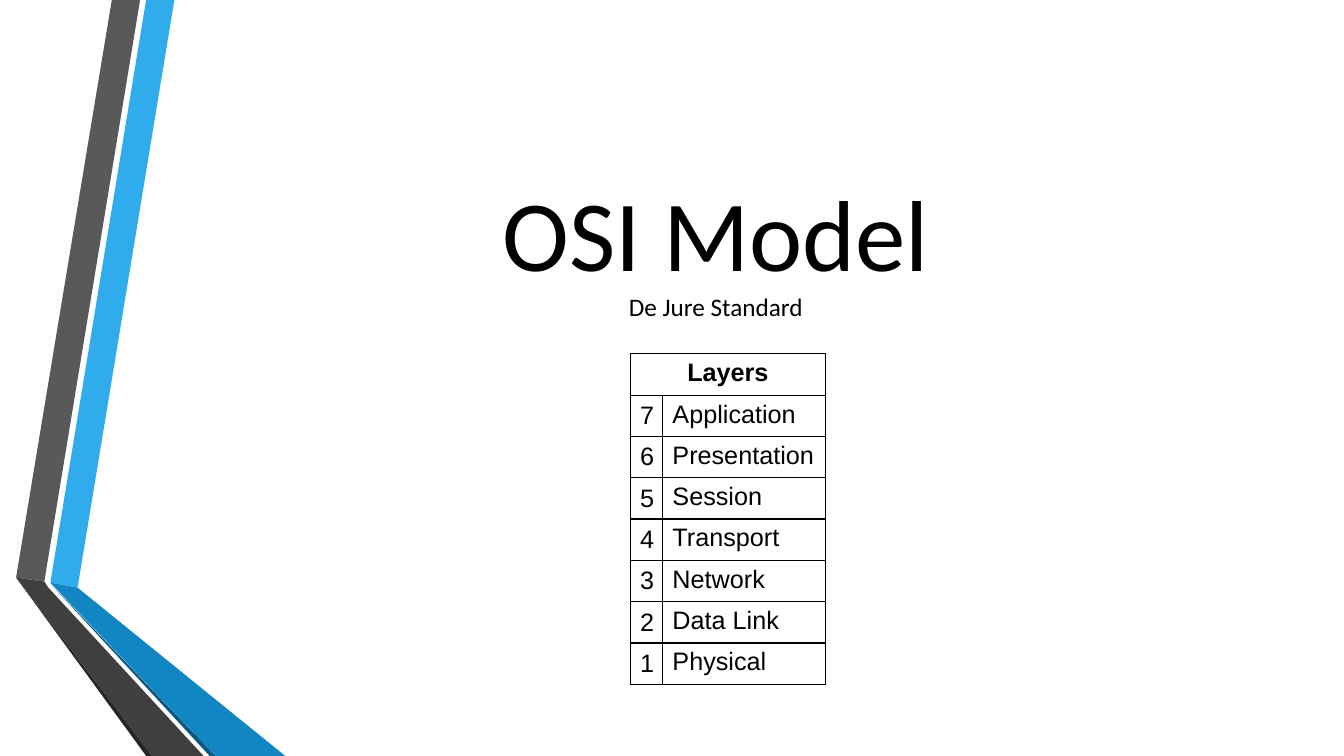
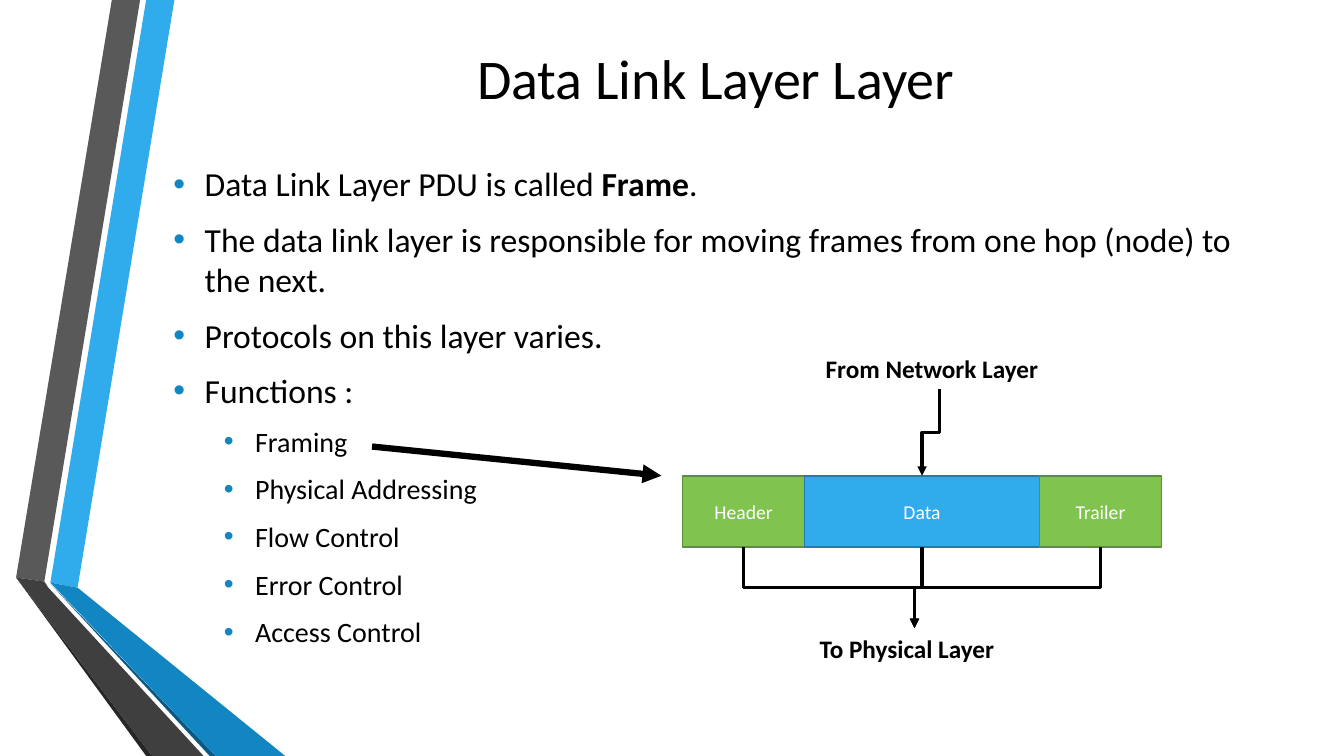
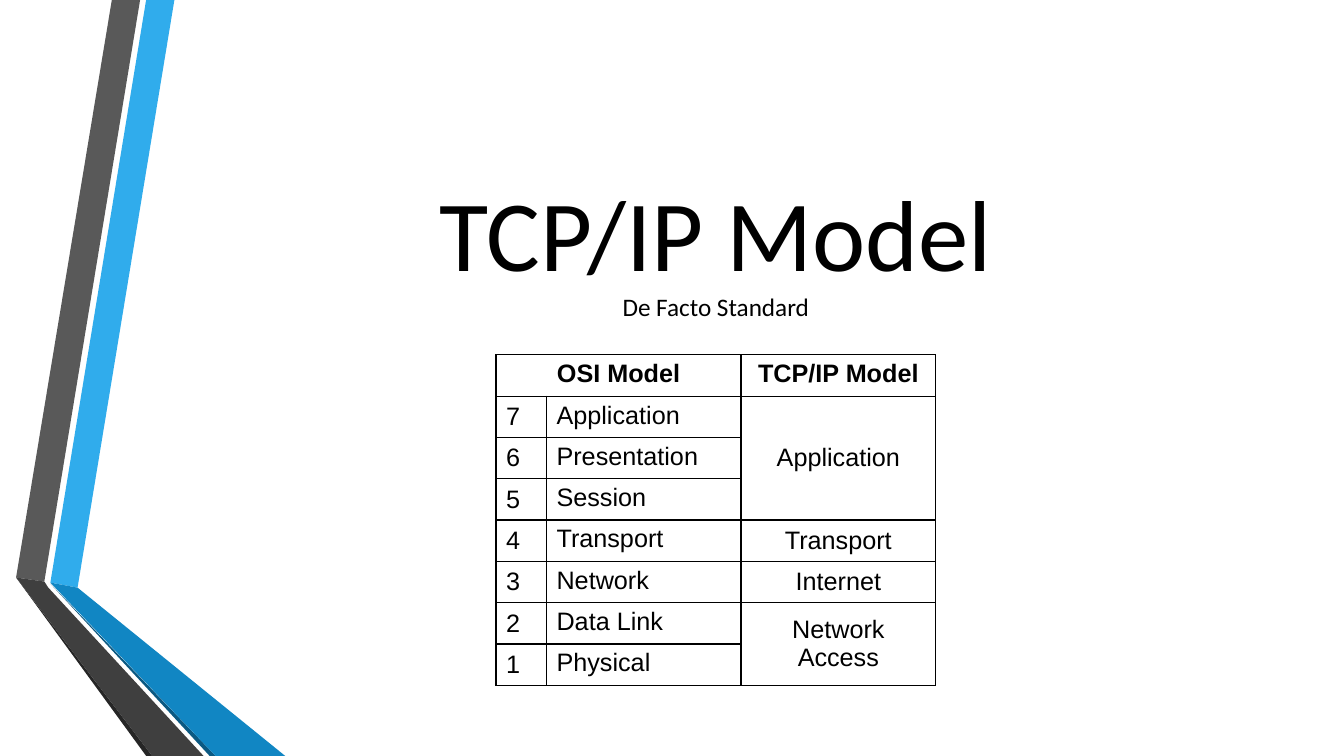
from dataclasses import dataclass
from itertools import product

from lxml import etree
from pptx import Presentation
from pptx.dml.color import RGBColor
from pptx.enum.shapes import MSO_CONNECTOR, MSO_SHAPE
from pptx.enum.text import MSO_ANCHOR, MSO_AUTO_SIZE, PP_ALIGN
from pptx.oxml.ns import qn
from pptx.util import Inches, Pt

ELBOW, STRAIGHT = MSO_CONNECTOR.ELBOW, MSO_CONNECTOR.STRAIGHT
RECTANGLE = MSO_SHAPE.RECTANGLE
TOP, MIDDLE = MSO_ANCHOR.TOP, MSO_ANCHOR.MIDDLE
LEFT, CENTER = PP_ALIGN.LEFT, PP_ALIGN.CENTER
NO_AUTOFIT = MSO_AUTO_SIZE.NONE

BLACK = RGBColor(0x00, 0x00, 0x00)
WHITE = RGBColor(0xFF, 0xFF, 0xFF)
SKY = RGBColor(0x30, 0xAC, 0xEC)
SKY_EDGE = RGBColor(0x23, 0x7D, 0xAC)
BLUE = RGBColor(0x11, 0x86, 0xC3)
NAVY = RGBColor(0x0B, 0x59, 0x82)
GREEN = RGBColor(0x80, 0xC3, 0x4F)
GREEN_EDGE = RGBColor(0x5D, 0x8E, 0x39)
GRAY = RGBColor(0x59, 0x59, 0x59)
DARK_GRAY = RGBColor(0x3F, 0x3F, 0x3F)
CHARCOAL = RGBColor(0x26, 0x26, 0x26)

BODY_FONT, TABLE_FONT = "Calibri", "Arial"
SLIDE_WIDTH, SLIDE_HEIGHT = 13.33, 7.5
CONTENT_LEFT, CONTENT_TOP, CONTENT_WIDTH = 1.62, 0.36, 10.96
TABLE_ROW = 0.41
TITLE_ONLY, TITLE_AND_BODY = 5, 1
QUARTER_TURN = 90 * 60000


@dataclass(frozen=True)
class Band:
    color: RGBColor
    points: tuple[tuple[float, float], ...]


@dataclass(frozen=True)
class Column:
    width: float
    cells: tuple[str, ...]


@dataclass(frozen=True)
class Model:
    name: str
    standard: str
    left: float
    top: float
    columns: tuple[Column, ...]
    merges: tuple[tuple[int, int, int, int], ...]


@dataclass(frozen=True)
class Bullet:
    """Spans alternate between regular and bold."""
    spans: tuple[str, ...]
    level: int = 0


@dataclass(frozen=True)
class FramePart:
    name: str
    width: float
    fill: RGBColor
    edge: RGBColor


BANDS = (
    Band(SKY, ((0.5, 5.78), (0.77, 5.83), (1.73, 0), (1.45, 0))),
    Band(GRAY, ((1.39, 0), (1.11, 0), (0.16, 5.73), (0.44, 5.77))),
    Band(CHARCOAL, ((0.16, 5.73), (1.45, 7.5), (1.51, 7.5))),
    Band(NAVY, ((0.5, 5.79), (2.08, 7.5), (2.14, 7.5))),
    Band(BLUE, ((0.5, 5.78), (2.14, 7.5), (2.83, 7.5), (0.77, 5.83))),
    Band(DARK_GRAY, ((2.02, 7.5), (0.48, 5.83), (0.44, 5.77), (0.16, 5.73),
                     (1.51, 7.5))),
)

LAYERS = ("Application", "Presentation", "Session", "Transport", "Network",
          "Data Link", "Physical")
NUMBERS = tuple(str(number) for number in range(len(LAYERS), 0, -1))

OSI = Model(
    "OSI Model", "De Jure Standard", 6.25, 3.51,
    (Column(0.32, ("Layers", *NUMBERS)), Column(1.62, ("", *LAYERS))),
    ((0, 0, 0, 1),),
)
TCP_IP = Model(
    "TCP/IP Model", "De Facto Standard", 4.92, 3.52,
    (Column(0.5, ("OSI Model", *NUMBERS)),
     Column(1.93, ("", *LAYERS)),
     Column(1.93, ("TCP/IP Model", "Application", "", "", "Transport",
                   "Internet", "Network Access", ""))),
    ((0, 0, 0, 1), (1, 2, 3, 2), (6, 2, 7, 2)),
)

BULLETS = (
    Bullet(("Data Link Layer PDU is called ", "Frame", ".")),
    Bullet(("The data link layer is responsible for moving frames from one "
            "hop (node) to the next.",)),
    Bullet(("Protocols on this layer varies.",)),
    Bullet(("Functions :",)),
    *(Bullet((function,), 1) for function in (
        "Framing", "Physical Addressing", "Flow Control", "Error Control",
        "Access Control")),
)

FRAME_LEFT, FRAME_TOP, FRAME_HEIGHT = 6.77, 4.72, 0.71
FRAME_PARTS = (
    FramePart("Header", 1.21, GREEN, GREEN_EDGE),
    FramePart("Data", 2.33, SKY, SKY_EDGE),
    FramePart("Trailer", 1.21, GREEN, GREEN_EDGE),
)


def style_span(span, size: float, color: RGBColor = BLACK,
               bold: bool = False, font: str = BODY_FONT) -> None:
    span.font.name, span.font.size = font, Pt(size)
    span.font.color.rgb, span.font.bold = color, bold


def place(shape, left: float, top: float, width: float, height: float) -> None:
    shape.left, shape.top = Inches(left), Inches(top)
    shape.width, shape.height = Inches(width), Inches(height)


def add_bands_to_master(deck, slide) -> None:
    """Freeforms can only be built on a slide, so they move to the master."""
    master_tree = deck.slide_master.shapes.element
    for index, band in enumerate(BANDS):
        points = [(Inches(x), Inches(y)) for x, y in band.points]
        builder = slide.shapes.build_freeform(*points[0])
        builder.add_line_segments(points[1:], close=True)
        shape = builder.convert_to_shape()
        shape.shadow.inherit = False
        shape.fill.solid()
        shape.fill.fore_color.rgb = band.color
        shape.line.fill.background()
        shape.element.nvSpPr.cNvPr.set("id", str(100 + index))
        master_tree.insert(2 + index, shape.element)


def set_title(slide, lines: tuple[str, ...], sizes: tuple[float, ...],
              height: float) -> None:
    title = slide.shapes.title
    place(title, CONTENT_LEFT, CONTENT_TOP, CONTENT_WIDTH, height)
    frame = title.text_frame
    frame.text = "\v".join(lines)
    frame.auto_size, frame.vertical_anchor = NO_AUTOFIT, MIDDLE
    para = frame.paragraphs[0]
    para.alignment = CENTER
    for span, size in zip(para.runs, sizes):
        style_span(span, size)


def set_cell_borders(cell) -> None:
    properties = cell._tc.get_or_add_tcPr()
    for side in ("a:lnL", "a:lnR", "a:lnT", "a:lnB"):
        line = etree.SubElement(properties, qn(side), w=str(Pt(1)))
        fill = etree.SubElement(line, qn("a:solidFill"))
        etree.SubElement(fill, qn("a:srgbClr"), val=str(BLACK))


def add_model_table(slide, model: Model) -> None:
    row_count, column_count = len(model.columns[0].cells), len(model.columns)
    width = sum(column.width for column in model.columns)
    table = slide.shapes.add_table(
        row_count, column_count, Inches(model.left), Inches(model.top),
        Inches(width), Inches(TABLE_ROW * row_count)).table
    table.first_row = table.horz_banding = False
    for column, grid_column in zip(model.columns, table.columns):
        grid_column.width = Inches(column.width)
    for row, col in product(range(row_count), range(column_count)):
        cell = table.cell(row, col)
        set_cell_borders(cell)
        cell.fill.background()
        cell.text = model.columns[col].cells[row]
        cell.vertical_anchor = TOP if row == 0 or col == 1 else MIDDLE
        para = cell.text_frame.paragraphs[0]
        para.alignment = CENTER if row == 0 or col == 2 else LEFT
        for span in para.runs:
            style_span(span, 18, bold=row == 0, font=TABLE_FONT)
    for top, left, bottom, right in model.merges:
        table.cell(top, left).merge(table.cell(bottom, right))


def add_model_slide(deck, model: Model):
    slide = deck.slides.add_slide(deck.slide_layouts[TITLE_ONLY])
    set_title(slide, (model.name, model.standard), (72, 18), 4.16)
    add_model_table(slide, model)
    return slide


def set_bullet_mark(para, indent: float) -> None:
    properties = para._p.get_or_add_pPr()
    properties.set("marL", str(Inches(indent)))
    properties.set("indent", str(Inches(-0.31)))
    color = etree.SubElement(properties, qn("a:buClr"))
    etree.SubElement(color, qn("a:srgbClr"), val=str(BLUE))
    etree.SubElement(properties, qn("a:buFont"), typeface="Arial")
    etree.SubElement(properties, qn("a:buChar"), char="•")


def fill_body(body, bullets: tuple[Bullet, ...]) -> None:
    place(body, CONTENT_LEFT, 1.57, 10.86, 5.07)
    frame = body.text_frame
    frame.auto_size, frame.vertical_anchor = NO_AUTOFIT, TOP
    for index, bullet in enumerate(bullets):
        para = frame.add_paragraph() if index else frame.paragraphs[0]
        para.level = bullet.level
        size, gap = ((24, 10.8), (20, 10))[bullet.level]
        para.space_before = Pt(gap if index else 0)
        set_bullet_mark(para, 0.31 + 0.5 * bullet.level)
        for position, text in enumerate(bullet.spans):
            span = para.add_run()
            span.text = text
            style_span(span, size, bold=position % 2 == 1)


def add_label(slide, text: str, left: float, top: float, width: float) -> None:
    box = slide.shapes.add_textbox(Inches(left), Inches(top), Inches(width),
                                   Inches(0.4))
    box.text_frame.word_wrap = True
    box.text_frame.text = text
    style_span(box.text_frame.paragraphs[0].runs[0], 18, bold=True)


def add_frame_part(slide, part: FramePart, left: float) -> None:
    box = slide.shapes.add_shape(RECTANGLE, Inches(left), Inches(FRAME_TOP),
                                 Inches(part.width), Inches(FRAME_HEIGHT))
    box.shadow.inherit = False
    box.fill.solid()
    box.fill.fore_color.rgb = part.fill
    box.line.color.rgb, box.line.width = part.edge, Pt(1.25)
    box.text_frame.text = part.name
    box.text_frame.vertical_anchor = MIDDLE
    para = box.text_frame.paragraphs[0]
    para.alignment = CENTER
    style_span(para.runs[0], 14, WHITE)


def add_arrow(slide, kind, start: tuple[float, float],
              end: tuple[float, float], weight: float):
    arrow = slide.shapes.add_connector(
        kind, *(Inches(length) for length in (*start, *end)))
    arrow.line.color.rgb, arrow.line.width = BLACK, Pt(weight)
    properties = arrow.element.spPr
    etree.SubElement(properties.find(qn("a:ln")), qn("a:tailEnd"),
                     type="triangle")
    etree.SubElement(properties, qn("a:effectLst"))
    return arrow


def add_down_elbow(slide, start: tuple[float, float],
                   end: tuple[float, float]) -> None:
    """An elbow leaves sideways, so it is drawn lying down and turned."""
    across, drop = end[0] - start[0], end[1] - start[1]
    middle_x, middle_y = (start[0] + end[0]) / 2, (start[1] + end[1]) / 2
    rightward = across > 0
    reach = drop / 2 if rightward else -drop / 2
    rise = abs(across) / 2
    arrow = add_arrow(slide, ELBOW, (middle_x + reach, middle_y - rise),
                      (middle_x - reach, middle_y + rise), 2.25)
    turn = QUARTER_TURN * (3 if rightward else 1)
    arrow.element.spPr.find(qn("a:xfrm")).set("rot", str(turn))


def add_data_link_slide(deck) -> None:
    slide = deck.slides.add_slide(deck.slide_layouts[TITLE_AND_BODY])
    set_title(slide, ("Data Link Layer Layer",), (40,), 0.81)
    fill_body(slide.placeholders[1], BULLETS)
    add_label(slide, "From Network Layer", 8.09, 3.46, 2.45)
    add_label(slide, "To Physical Layer", 8.03, 6.23, 2.08)

    left, centers = FRAME_LEFT, []
    for part in FRAME_PARTS:
        add_frame_part(slide, part, left)
        centers.append(left + part.width / 2)
        left += part.width

    add_down_elbow(slide, (9.32, 3.86), (centers[1], FRAME_TOP))
    for center in centers:
        add_down_elbow(slide, (center, FRAME_TOP + FRAME_HEIGHT), (9.07, 6.23))
    add_arrow(slide, STRAIGHT, (3.69, 4.43), (6.56, FRAME_TOP), 4.5)


def main() -> None:
    deck = Presentation()
    deck.slide_width, deck.slide_height = Inches(SLIDE_WIDTH), Inches(SLIDE_HEIGHT)
    first_slide = add_model_slide(deck, OSI)
    add_bands_to_master(deck, first_slide)
    add_data_link_slide(deck)
    add_model_slide(deck, TCP_IP)
    deck.save("out.pptx")


if __name__ == "__main__":
    main()
